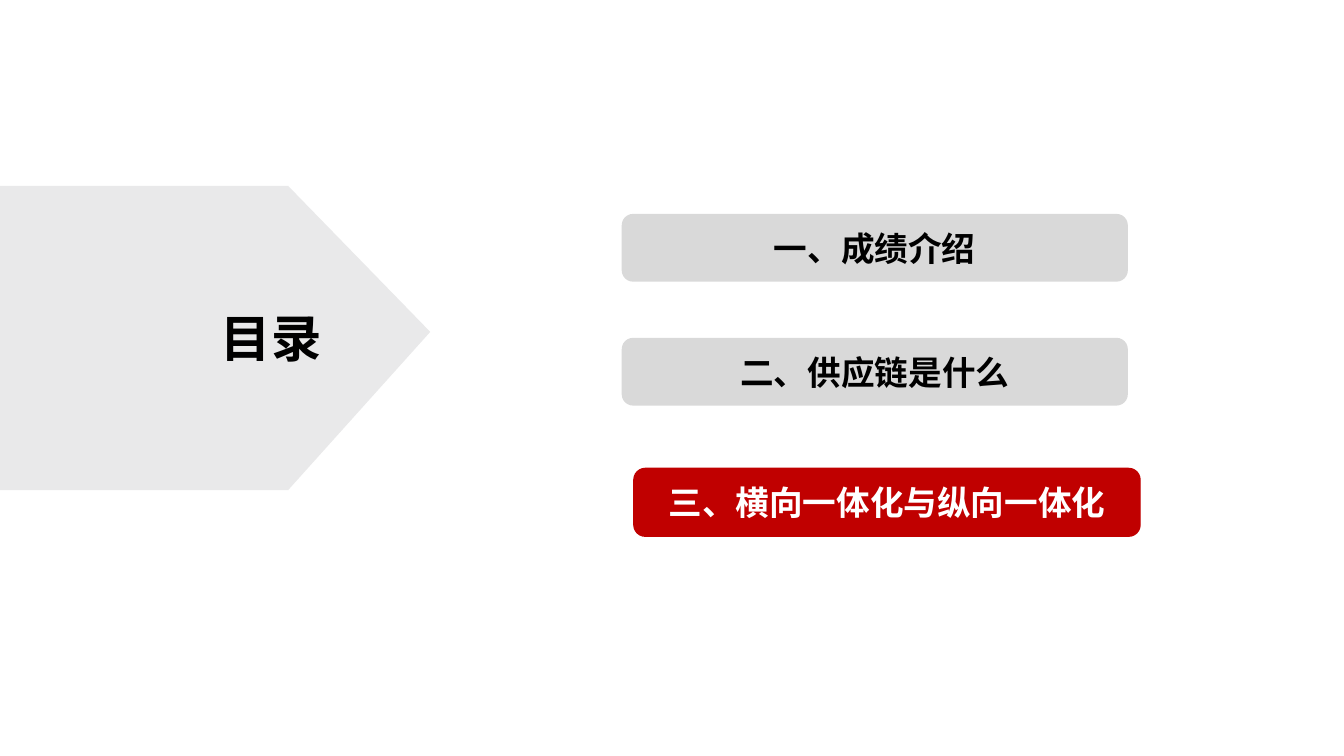
from lxml import etree
from pptx import Presentation
from pptx import util as u
from pptx.dml import color
from pptx.enum import shapes, text
from pptx.oxml import ns


class AgendaSlide:
    """Hold the style and the current slide of an agenda page."""

    font = "Noto Sans CJK SC"
    colors = {
        "arrow": "E9E9EA",
        "idle": "D9D9D9",
        "active": "C00000",
        "dark": "000000",
        "light": "FFFFFF",
    }

    def __init__(self, deck):
        self.page = deck.slides.add_slide(deck.slide_layouts[6])

    def rgb(self, name):
        return color.RGBColor.from_string(self.colors[name])

    def shape(self, parent, kind, frame, fill):
        box = parent.add_shape(kind, *map(u.Pt, frame))
        box.shadow.inherit = False
        box.fill.solid()
        box.fill.fore_color.rgb = self.rgb(fill)
        box.line.fill.background()
        return box

    def label(self, para, words, size, ink):
        span = para.add_run()
        span.text = words
        span.font.size = u.Pt(size)
        span.font.bold = True
        span.font.color.rgb = self.rgb(ink)
        span.font.name = self.font
        properties = span._r.get_or_add_rPr()
        east_asian = etree.SubElement(properties, ns.qn("a:ea"))
        east_asian.set("typeface", self.font)

    def arrow(self, top, body, height, point, apex):
        group = self.page.shapes.add_group_shape()
        kinds = shapes.MSO_SHAPE
        self.shape(group.shapes, kinds.RECTANGLE, (0, top, body, height), "arrow")
        left = body + (point - height) / 2
        middle = top + (height - point) / 2
        frame = (left, middle, height, point)
        tip = self.shape(group.shapes, kinds.ISOSCELES_TRIANGLE, frame, "arrow")
        tip.rotation = 90
        tip.adjustments[0] = apex

    def title(self, words, frame):
        box = self.page.shapes.add_textbox(*map(u.Pt, frame))
        box.text_frame.word_wrap = False
        box.text_frame.auto_size = text.MSO_AUTO_SIZE.SHAPE_TO_FIT_TEXT
        self.label(box.text_frame.paragraphs[0], words, 36, "dark")

    def entry(self, words, left, top, active):
        fill, ink = ("active", "light") if active else ("idle", "dark")
        frame = (left, top, 361.5, 48.4)
        box = self.shape(
            self.page.shapes, shapes.MSO_SHAPE.ROUNDED_RECTANGLE, frame, fill
        )
        if active:
            box.line.color.rgb = self.rgb(fill)
            box.line.width = u.Pt(1)
        box.text_frame.word_wrap = True
        box.text_frame.vertical_anchor = text.MSO_ANCHOR.MIDDLE
        para = box.text_frame.paragraphs[0]
        para.alignment = text.PP_ALIGN.CENTER
        self.label(para, words, 24, ink)


def main():
    deck = Presentation()
    deck.slide_width, deck.slide_height = u.Pt(960), u.Pt(540)
    agenda = AgendaSlide(deck)
    agenda.arrow(top=132.8, body=205.8, height=217.3, point=101.5, apex=0.48)
    agenda.title("目录", (150.5, 216, 87.1, 51.1))
    for words, left, top, active in (
        ("一、成绩介绍", 444.1, 152.8, False),
        ("二、供应链是什么", 444.1, 241.3, False),
        ("三、横向一体化与纵向一体化", 452.8, 334.6, True),
    ):
        agenda.entry(words, left, top, active)
    deck.save("out.pptx")


if __name__ == "__main__":
    main()
